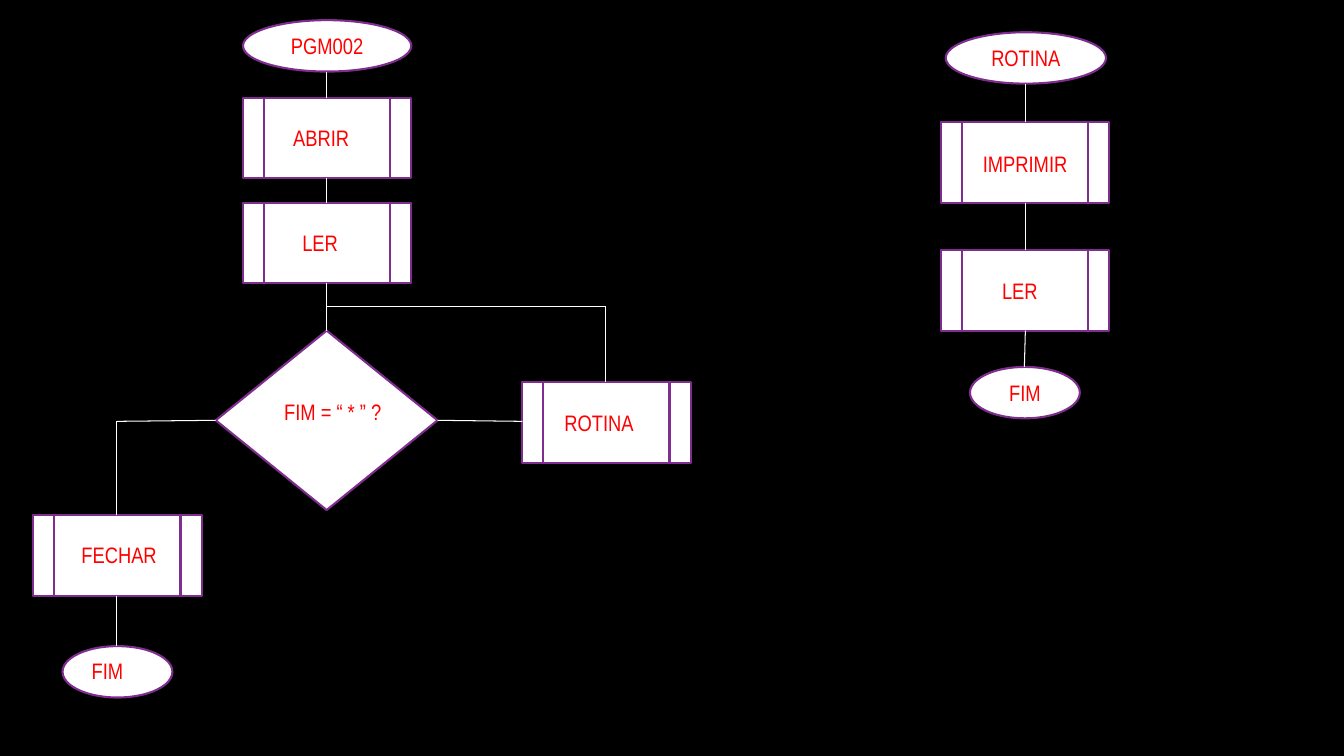
from lxml import etree
from pptx import Presentation
from pptx.dml.color import RGBColor
from pptx.enum import shapes, text
from pptx.oxml.ns import qn
from pptx.util import Inches, Pt

COLORS = {"background": "000000", "fill": "FFFFFF", "outline": "7F2E8F",
          "connector": "FFFFFF", "label": "FF0000"}
RGB = {name: RGBColor.from_string(value) for name, value in COLORS.items()}
FONT = {"name": "Arial Narrow", "size": Pt(16)}

OVAL = shapes.MSO_SHAPE.OVAL
PROCESS = shapes.MSO_SHAPE.FLOWCHART_PREDEFINED_PROCESS
DECISION = shapes.MSO_SHAPE.FLOWCHART_DECISION
SIZES = {PROCESS: (1.67, 0.8), DECISION: (2.2, 1.78)}
OVAL_H = 0.51
LABEL_H = 0.37

prs = Presentation()
prs.slide_width, prs.slide_height = Inches(13.33), Inches(7.5)
s = prs.slides.add_slide(prs.slide_layouts[6])
s.background.fill.solid()
s.background.fill.fore_color.rgb = RGB["background"]


def write(tf, words):
    r = tf.paragraphs[0].add_run()
    r.text = words
    for attr, value in FONT.items():
        setattr(r.font, attr, value)
    r.font.color.rgb = RGB["label"]


def add_step(kind, left, top, width, height):
    sp = s.shapes.add_shape(kind, *map(Inches, (left, top, width, height)))
    sp.shadow.inherit = False
    sp.fill.solid()
    sp.fill.fore_color.rgb = RGB["fill"]
    sp.line.color.rgb = RGB["outline"]
    sp.line.width = Pt(1.5)
    return sp


# Start and end of each routine: left, top, width, centred text
terminals = [
    (2.41, 0.2, 1.67, "PGM002"),
    (0.62, 6.41, 1.09, ""),
    (9.38, 0.32, 1.59, "ROTINA"),
    (9.62, 3.64, 1.09, "FIM"),
]
for left, top, width, words in terminals:
    sp = add_step(OVAL, left, top, width, OVAL_H)
    if words:
        tf = sp.text_frame
        tf.vertical_anchor = text.MSO_ANCHOR.MIDDLE
        tf.paragraphs[0].alignment = text.PP_ALIGN.CENTER
        write(tf, words)

steps = [
    (PROCESS, 2.41, 0.97),
    (PROCESS, 2.41, 2.01),
    (DECISION, 2.14, 3.28),
    (PROCESS, 5.18, 3.79),
    (PROCESS, 0.33, 5.11),
    (PROCESS, 9.33, 1.21),
    (PROCESS, 9.33, 2.48),
]
for kind, left, top in steps:
    add_step(kind, left, top, *SIZES[kind])

# Each route is a run of points joined by straight lines
routes = [
    [(3.24, 0.71), (3.24, 0.97)],
    [(3.24, 1.77), (3.24, 2.01)],
    [(3.24, 2.81), (3.24, 3.28)],
    [(4.34, 4.17), (5.18, 4.18)],
    [(3.24, 3.04), (6.01, 3.04), (6.01, 3.79)],
    [(2.14, 4.17), (1.16, 4.18), (1.16, 5.11)],
    [(1.16, 5.91), (1.16, 6.41)],
    [(10.17, 0.83), (10.17, 1.21)],
    [(10.17, 2.01), (10.17, 2.48)],
    [(10.17, 3.28), (10.16, 3.64)],
]
for route in routes:
    for start, end in zip(route, route[1:]):
        line = s.shapes.add_connector(shapes.MSO_CONNECTOR.STRAIGHT,
                                      *map(Inches, start + end))
        line.line.color.rgb = RGB["connector"]
        line.line.width = Pt(0.75)
        etree.SubElement(line._element.spPr, qn("a:effectLst"))

# Labels laid over the steps: left, top, width, text
labels = [
    (2.81, 1.18, 0.76, "ABRIR"),
    (2.9, 2.22, 0.56, "LER"),
    (2.72, 3.9, 1.17, "FIM = “ * ” ?"),
    (5.5, 4.01, 0.9, "ROTINA"),
    (0.71, 5.32, 0.96, "FECHAR"),
    (0.81, 6.47, 0.52, "FIM"),
    (9.65, 1.44, 1.05, "IMPRIMIR"),
    (9.84, 2.7, 0.56, "LER"),
]
for left, top, width, words in labels:
    box = s.shapes.add_textbox(*map(Inches, (left, top, width, LABEL_H)))
    tf = box.text_frame
    tf.word_wrap = False
    tf.auto_size = text.MSO_AUTO_SIZE.SHAPE_TO_FIT_TEXT
    write(tf, words)

prs.save("out.pptx")
